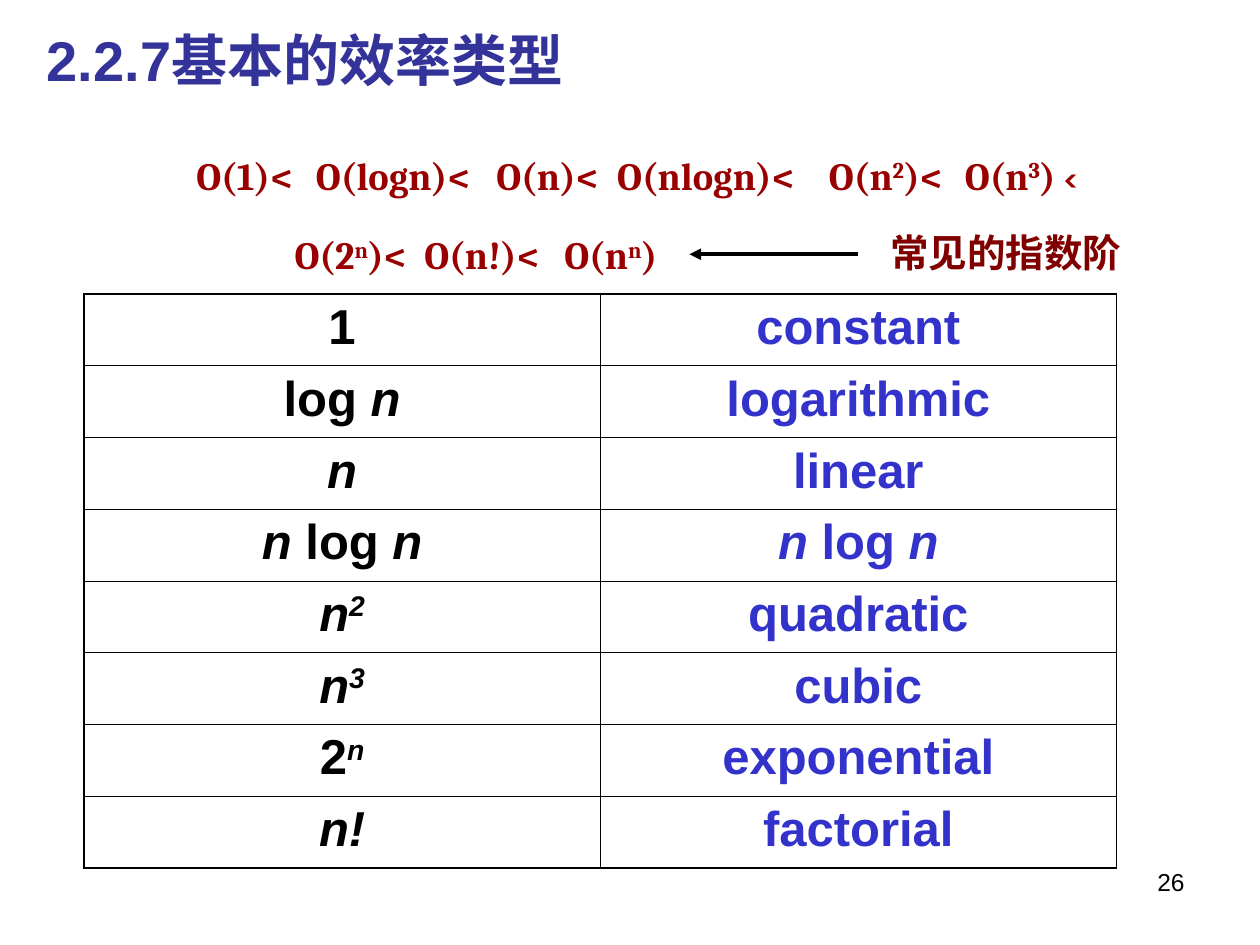
from dataclasses import dataclass

from lxml.etree import SubElement
from pptx import Presentation
from pptx.dml.color import RGBColor
from pptx.enum.shapes import MSO_CONNECTOR
from pptx.enum.text import MSO_ANCHOR, MSO_AUTO_SIZE, PP_ALIGN
from pptx.oxml.ns import qn
from pptx.util import Pt


@dataclass(frozen=True)
class Theme:
    black: str = "000000"
    heading: str = "333399"
    order: str = "990000"
    remark: str = "800000"
    category: str = "3333CC"
    heading_size: int = 32
    table_size: int = 28
    order_size: int = 22
    last_sign_size: int = 18
    page_size: int = 14
    outer_border: float = 1.08
    inner_border: float = 0.45
    arrow_width: float = 2.25


theme = Theme()


def write(paragraph, text, font="Arial", size=theme.table_size, color=theme.black,
          bold=True, align=PP_ALIGN.LEFT, spacing=None, before=0):
    paragraph.alignment = align
    paragraph.space_before = Pt(before)
    paragraph.line_spacing = spacing
    for piece in text.split("|"):
        run = paragraph.add_run()
        run.text = piece.lstrip("/^")
        run.font.name = font
        run.font.size = Pt(size)
        run.font.bold = bold
        run.font.italic = piece.startswith("/")
        run.font.color.rgb = RGBColor.from_string(color)
        if "^" in piece:
            run.font._element.set("baseline", "30000")


def draw_border(cell, side, width):
    border = SubElement(cell._tc.get_or_add_tcPr(), qn(f"a:ln{side}"), w=str(Pt(width)))
    fill = SubElement(border, qn("a:solidFill"))
    SubElement(fill, qn("a:srgbClr"), val=theme.black)


presentation = Presentation()
presentation.slide_width = Pt(720)
presentation.slide_height = Pt(540)
slide = presentation.slides.add_slide(presentation.slide_layouts[5])

heading = slide.shapes.title
heading.left, heading.top, heading.width, heading.height = Pt(19.5), Pt(9.5), Pt(612), Pt(48)
heading.text_frame.vertical_anchor = MSO_ANCHOR.MIDDLE
write(heading.text_frame.paragraphs[0], "2.2.7基本的效率类型",
      size=theme.heading_size, color=theme.heading)

page = slide.shapes.add_textbox(Pt(516), Pt(492), Pt(168), Pt(37.5))
page.text_frame.word_wrap = True
write(page.text_frame.paragraphs[0], "26", size=theme.page_size,
      bold=False, align=PP_ALIGN.RIGHT)

order_rows = [
    (72.7, [("O(1)<", 105.1, 75.6), ("O(logn)<", 173.5, 112.3), ("O(n)<", 276.5, 77.8),
            ("O(nlogn)<", 345.6, 127.4), ("O(n|^2|)<", 466.6, 85),
            ("O(n|^3|) ", 544.3, 88.6)]),
    (118.1, [("O(2|^n|)<", 161.3, 84.2), ("O(n!)<", 235.4, 84.2),
             ("O(n|^n|)", 315.4, 73.4)]),
]
for top, orders in order_rows:
    for order, left, width in orders:
        growth = slide.shapes.add_textbox(Pt(left), Pt(top), Pt(width), Pt(44.6))
        growth.text_frame.word_wrap = False
        growth.text_frame.auto_size = MSO_AUTO_SIZE.SHAPE_TO_FIT_TEXT
        write(growth.text_frame.paragraphs[0], order, font="Cambria",
              size=theme.order_size, color=theme.order, spacing=1.4)
        if order.endswith(" "):
            write(growth.text_frame.paragraphs[0], "<", font="Cabin",
                  size=theme.last_sign_size, color=theme.order, spacing=1.4)

remark = slide.shapes.add_textbox(Pt(501.8), Pt(116.6), Pt(177.8), Pt(44.6))
remark.text_frame.word_wrap = True
remark.text_frame.auto_size = MSO_AUTO_SIZE.SHAPE_TO_FIT_TEXT
write(remark.text_frame.paragraphs[0], "常见的指数阶", font="Times New Roman",
      size=theme.order_size, color=theme.remark, spacing=1.4)

arrow = slide.shapes.add_connector(MSO_CONNECTOR.STRAIGHT, Pt(394), Pt(145.3), Pt(490.3), Pt(145.3))
arrow.line.color.rgb = RGBColor.from_string(theme.black)
arrow.line.width = Pt(theme.arrow_width)
SubElement(arrow.line._get_or_add_ln(), qn("a:headEnd"), type="triangle")
SubElement(arrow._element.spPr, qn("a:effectLst"))

efficiency_classes = [
    ("1", "constant"),
    ("log |/n", "logarithmic"),
    ("/n", "linear"),
    ("/n |log |/n", "/n |log |/n"),
    ("/n|/^2", "quadratic"),
    ("/n|/^3", "cubic"),
    ("2|/^n", "exponential"),
    ("/n!", "factorial"),
]
last_row = len(efficiency_classes) - 1
classes = slide.shapes.add_table(last_row + 1, 2, Pt(48), Pt(168), Pt(590), Pt(328)).table
classes.first_row = False
classes.horz_banding = False
for row, entries in enumerate(efficiency_classes):
    classes.rows[row].height = Pt(41)
    for column, entry in enumerate(entries):
        cell = classes.cell(row, column)
        edges = {"L": column == 0, "R": column == 1, "T": row == 0, "B": row == last_row}
        for side, is_outer in edges.items():
            draw_border(cell, side, theme.outer_border if is_outer else theme.inner_border)
        cell.fill.background()
        write(cell.text_frame.paragraphs[0], entry, align=PP_ALIGN.CENTER, before=7,
              color=theme.category if column else theme.black)

presentation.save("out.pptx")
